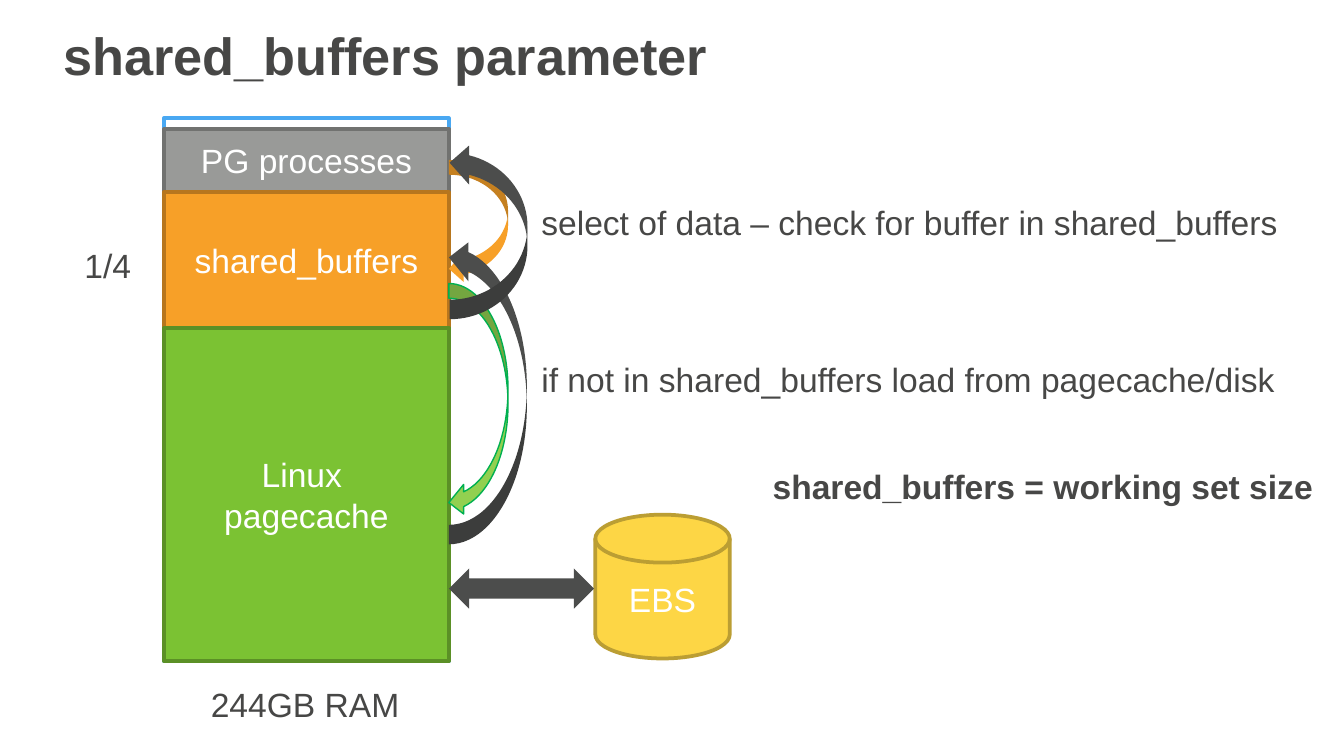
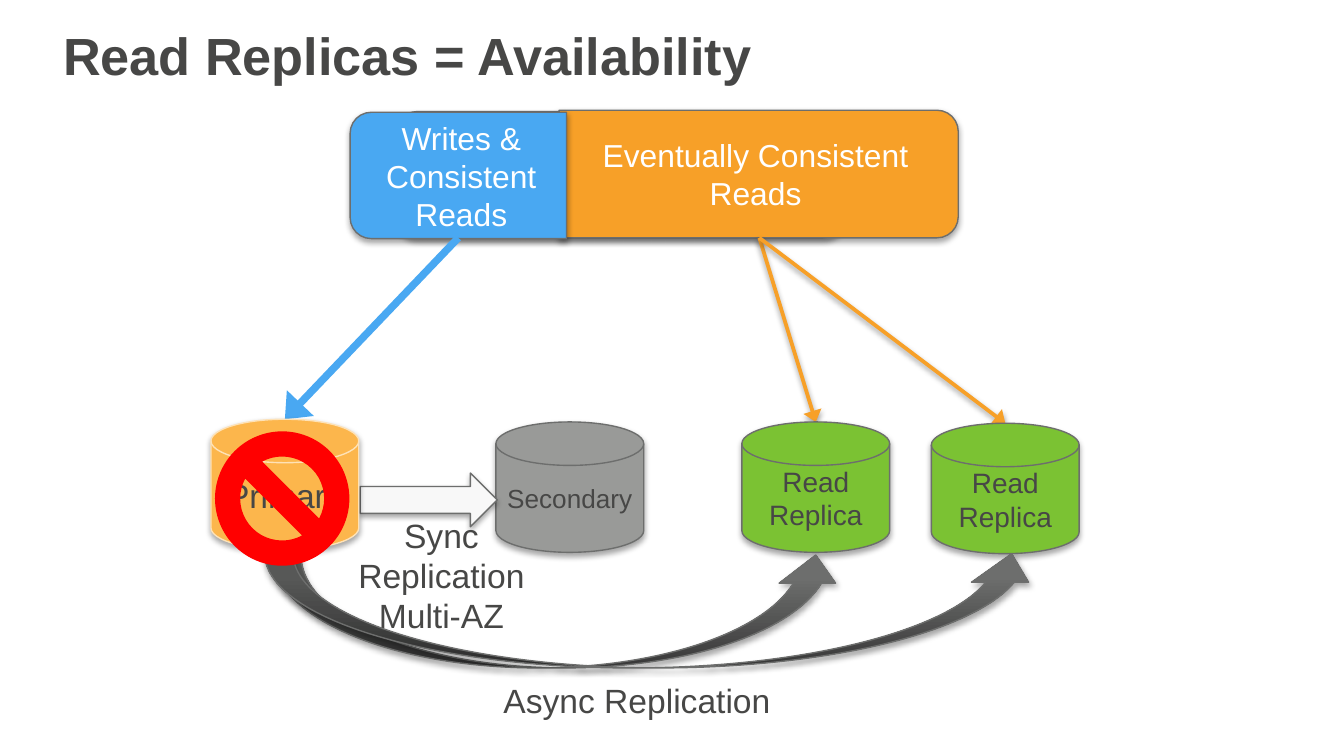
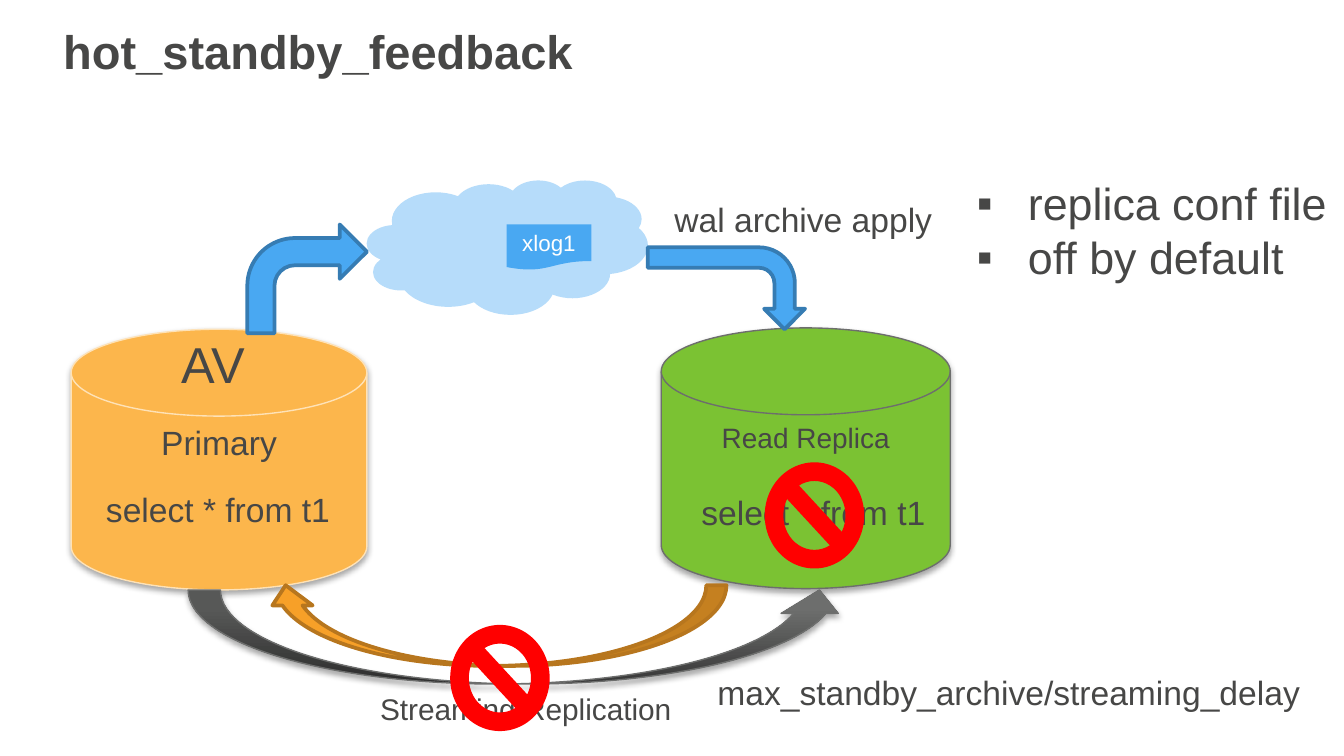
import pptx
import pptx.util
import pptx.dml.color
import pptx.enum.shapes
import pptx.enum.text
import pptx.oxml.ns
import lxml.etree

RGB = pptx.dml.color.RGBColor
KIND = pptx.enum.shapes.MSO_SHAPE
ALIGN = pptx.enum.text.PP_ALIGN
ANCHOR = pptx.enum.text.MSO_ANCHOR
FIT = pptx.enum.text.MSO_AUTO_SIZE
qn = pptx.oxml.ns.qn

SCALE = 9144
FONT = "Arial"
INK = RGB(0x47, 0x47, 0x46)
WHITE = RGB(0xFF, 0xFF, 0xFF)
BLUE = RGB(0x49, 0xA8, 0xF2)
NAVY = RGB(0x36, 0x7C, 0xB3)
SKY = RGB(0xB6, 0xDC, 0xFA)
GREY = RGB(0x99, 0x9A, 0x98)
SLATE = RGB(0x71, 0x72, 0x70)
EDGE = RGB(0x6D, 0x6E, 0x6D)
COAL = RGB(0x4C, 0x4D, 0x4C)
DARK = RGB(0x37, 0x37, 0x37)
ORANGE = RGB(0xF7, 0xA0, 0x28)
RUST = RGB(0xB7, 0x76, 0x1E)
AMBER = RGB(0xFC, 0xB6, 0x4C)
CREAM = RGB(0xFE, 0xE2, 0xB7)
GREEN = RGB(0x7B, 0xC2, 0x33)
MOSS = RGB(0x5B, 0x90, 0x26)
LIME = RGB(0x92, 0xD0, 0x50)
JADE = RGB(0x00, 0xB0, 0x50)
GOLD = RGB(0xFD, 0xD6, 0x45)
BRASS = RGB(0xBB, 0x9E, 0x33)
PALE = RGB(0xF8, 0xF8, 0xF8)
RED = RGB(0xFF, 0x00, 0x00)


def px(n):
    return int(n * SCALE)


def place(box, x, y, w, h):
    return box[0] + x, box[1] + y, w, h


def put(shape, text, size=18, color=INK, bold=False, align=ALIGN.LEFT,
        anchor=ANCHOR.TOP, wrap=True, pad=(10, 5), fit=FIT.NONE, bullet=None):
    frame = shape.text_frame
    frame.word_wrap = wrap
    frame.auto_size = fit
    frame.vertical_anchor = anchor
    frame.margin_left = frame.margin_right = px(pad[0])
    frame.margin_top = frame.margin_bottom = px(pad[1])
    for i, line in enumerate(text.split("\n")):
        para = frame.add_paragraph() if i else frame.paragraphs[0]
        para.alignment = align
        run = para.add_run()
        run.text = line
        font = run.font
        font.name, font.size, font.bold = FONT, pptx.util.Pt(size), bold
        font.color.rgb = color
        if bullet:
            props = para._p.get_or_add_pPr()
            props.set("marL", str(px(38)))
            props.set("indent", str(px(-38)))
            lxml.etree.SubElement(props, qn("a:buFont"), typeface=FONT)
            lxml.etree.SubElement(props, qn("a:buChar"), char=bullet)


def label(slide, box, text, **form):
    shape = slide.shapes.add_textbox(*map(px, box))
    put(shape, text, **form)


def note(slide, box, text, **form):
    label(slide, box, text, **{"wrap": False, "fit": FIT.SHAPE_TO_FIT_TEXT, **form})


def caption(slide, box, text):
    label(slide, box, text, wrap=False, pad=(0, 0), align=ALIGN.CENTER)


def shade(effects, alpha, dist):
    drop = lxml.etree.SubElement(effects, qn("a:outerShdw"), blurRad="40000",
                                 dist=str(dist), dir="5400000", rotWithShape="0")
    tint = lxml.etree.SubElement(drop, qn("a:srgbClr"), val="000000")
    lxml.etree.SubElement(tint, qn("a:alpha"), val=str(alpha * 1000))


def draw(slide, kind, box, fill, line=None, width=2, turn=0, shadow=False):
    shape = slide.shapes.add_shape(kind, *map(px, box))
    shape.rotation = turn
    shape.shadow.inherit = False
    if isinstance(fill, tuple) and len(fill) == 2:
        shape.fill.gradient()
        shape.fill.gradient_angle = 90
        for stop, color, pos in zip(shape.fill.gradient_stops, fill, (0, 0.8)):
            stop.color.rgb, stop.position = color, pos
    else:
        shape.fill.solid()
        shape.fill.fore_color.rgb = fill
    if line is None:
        shape.line.fill.background()
    else:
        shape.line.color.rgb = line
        shape.line.width = pptx.util.Pt(width)
    if shadow:
        shade(shape.element.spPr.find(qn("a:effectLst")), 35, 23000)
    return shape


def block(slide, kind, box, fill, line, text, size=18):
    put(draw(slide, kind, box, fill, line), text, size=size, color=WHITE,
        align=ALIGN.CENTER, anchor=ANCHOR.MIDDLE)


def soft(slide, kind, box, fill, line=EDGE, turn=0):
    return draw(slide, kind, box, fill, line, 0.75, turn, True)


def disk(slide, box, fill, text, size, line=EDGE, anchor=ANCHOR.MIDDLE):
    shape = soft(slide, KIND.FLOWCHART_MAGNETIC_DISK, box, fill, line)
    put(shape, text, size=size, align=ALIGN.CENTER, anchor=anchor, pad=(8, 4))


def swoop(slide, box):
    return soft(slide, KIND.CURVED_UP_ARROW, box, (DARK, EDGE))


def ban(slide, box):
    draw(slide, KIND.NO_SYMBOL, box, RED)


def arrow(slide, start, end, color, width, shadow=False):
    line = slide.shapes.add_connector(
        pptx.enum.shapes.MSO_CONNECTOR.STRAIGHT, *map(px, start + end))
    line.line.color.rgb = color
    line.line.width = pptx.util.Pt(width)
    props = line.element.spPr
    lxml.etree.SubElement(props.find(qn("a:ln")), qn("a:tailEnd"),
                          type="triangle", w="lg")
    effects = lxml.etree.SubElement(props, qn("a:effectLst"))
    if shadow:
        shade(effects, 38, 20000)


def start(deck, text, size=28):
    slide = deck.slides.add_slide(deck.slide_layouts[5])
    title = slide.shapes.title
    title.left, title.top, title.width, title.height = map(px, (37, 13, 897, 60))
    put(title, text, size=size, bold=True, pad=(10, 4))
    return slide


def memory(slide, box):
    width = box[2]
    draw(slide, KIND.RECTANGLE, box, WHITE, BLUE)
    note(slide, place(box, 25, 416, 162, 40), "244GB RAM")
    note(slide, place(box, -69, 89, 55, 40), "1/4")
    top = 8
    for high, fill, line, text in (
            (47, GREY, SLATE, "PG processes"),
            (101, ORANGE, RUST, "shared_buffers"),
            (248, GREEN, MOSS, "Linux \npagecache")):
        block(slide, KIND.RECTANGLE, place(box, 0, top, width, high), fill, line, text)
        top += high


def flows(slide, box):
    draw(slide, KIND.CURVED_LEFT_ARROW, place(box, 0, 0, 44, 92), ORANGE)
    draw(slide, KIND.CURVED_LEFT_ARROW, place(box, 0, 92, 44, 174), LIME, JADE, 0.75)
    block(slide, KIND.FLOWCHART_MAGNETIC_DISK, place(box, 109, 264, 100, 107),
          GOLD, BRASS, "EBS")
    draw(slide, KIND.LEFT_RIGHT_ARROW, place(box, 0, 304, 108, 30), COAL)
    for x, y, w in ((-85, 143, 228), (-36, 24, 131)):
        draw(slide, KIND.CURVED_UP_ARROW, place(box, x, y, w, 58), COAL, turn=270)
    note(slide, place(box, 59, 26, 577, 40),
         "select of data – check for buffer in shared_buffers")
    note(slide, place(box, 59, 143, 579, 40),
         "if not in shared_buffers load from pagecache/disk")
    note(slide, place(box, 231, 223, 435, 40), "shared_buffers = working set size",
         bold=True, wrap=True)


def client(slide, box):
    soft(slide, KIND.FLOWCHART_ALTERNATE_PROCESS, box, BLUE)
    for x, y, w, h, fill, turn, vert, text in (
            (222, -102, 95, 297, ORANGE, 90, "vert270", "Eventually Consistent Reads"),
            (-1, -33, 94, 161, BLUE, 270, "vert", "Writes & Consistent Reads")):
        half = soft(slide, KIND.ROUND_2_SAME_RECTANGLE, place(box, x, y, w, h),
                    fill, turn=turn)
        put(half, text, size=17, color=WHITE, align=ALIGN.CENTER,
            anchor=ANCHOR.MIDDLE, pad=(8, 4))
        half.text_frame._txBody.bodyPr.set("vert", vert)


def routes(slide, box):
    left, top = box[:2]
    arrow(slide, (left + 129, top), (left, top + 135), BLUE, 4)
    for x, y in ((395, 137), (536, 138)):
        arrow(slide, (left + 353, top), (left + x, top + y), ORANGE, 2, True)


def nodes(slide, box):
    disk(slide, place(box, 212, 2, 110, 97), GREY, "Secondary", 14)
    soft(slide, KIND.RIGHT_ARROW, place(box, 111, 40, 102, 40), PALE)
    for x, y in ((536, 3), (395, 2)):
        disk(slide, place(box, x, y, 110, 97), GREEN, "Read Replica", 15)
    caption(slide, place(box, 124, 71, 95, 75), "Sync\nReplication\nMulti-AZ")
    disk(slide, place(box, 0, 0, 110, 97), AMBER, "Primary", 18, CREAM)
    swoop(slide, place(box, 46, 101, 425, 84))
    swoop(slide, place(box, 40, 100, 577, 85))
    caption(slide, place(box, 164, 194, 306, 39), "Async Replication")
    ban(slide, place(box, 3, 9, 100, 100))


def servers(slide, box):
    disk(slide, place(box, 439, -1, 215, 194), GREEN, "Read Replica", 15,
         anchor=ANCHOR.TOP)
    disk(slide, place(box, 0, 0, 220, 194), AMBER, "Primary", 18, CREAM, ANCHOR.TOP)
    for x, y in ((459, 116), (16, 114)):
        note(slide, place(box, x, y, 188, 40), "select * from t1")
    note(slide, place(box, 72, -2, 76, 56), "AV", size=27, wrap=True)
    ban(slide, place(box, 516, 99, 74, 79))


def stream(slide, box):
    sweep = swoop(slide, box)
    for i, part in enumerate((0.344, 0.608, 0.25)):
        sweep.adjustments[i] = part
    note(slide, place(box, 133, 70, 239, 37), "Streaming Replication", size=16)
    draw(slide, KIND.CURVED_LEFT_ARROW, place(box, 199, -145, 60, 343),
         ORANGE, RUST, turn=90)
    ban(slide, place(box, 195, 26, 74, 79))
    label(slide, place(box, 384, 56, 500, 71), "max_standby_archive/streaming_delay")


def archive(slide, box):
    draw(slide, KIND.CLOUD, box, SKY)
    block(slide, KIND.FLOWCHART_DOCUMENT, place(box, 104, 33, 63, 34),
          BLUE, None, "xlog1", 12)
    draw(slide, KIND.BENT_ARROW, place(box, 237, 22, 61, 117), BLUE, NAVY, turn=90)
    draw(slide, KIND.BENT_ARROW, place(box, -89, 33, 89, 81), BLUE, NAVY)
    note(slide, place(box, 219, 9, 214, 40), "wal archive apply")


def main():
    deck = pptx.Presentation()
    deck.slide_width = px(1000)
    deck.slide_height = px(1000) * 9 // 16

    slide = start(deck, "shared_buffers parameter")
    memory(slide, (122, 88, 212, 404))
    flows(slide, (334, 119, 666, 371))

    slide = start(deck, "Read Replicas = Availability")
    client(slide, (295, 83, 333, 94))
    routes(slide, (212, 177, 536, 138))
    nodes(slide, (157, 312, 646, 233))

    slide = start(deck, "hot_standby_feedback", 25.2)
    servers(slide, (53, 245, 654, 194))
    stream(slide, (140, 439, 491, 70))
    archive(slide, (273, 134, 209, 100))
    note(slide, (717, 126, 283, 91), "replica conf file\noff by default",
         size=24, bullet="▪")

    deck.save("out.pptx")


if __name__ == "__main__":
    main()
